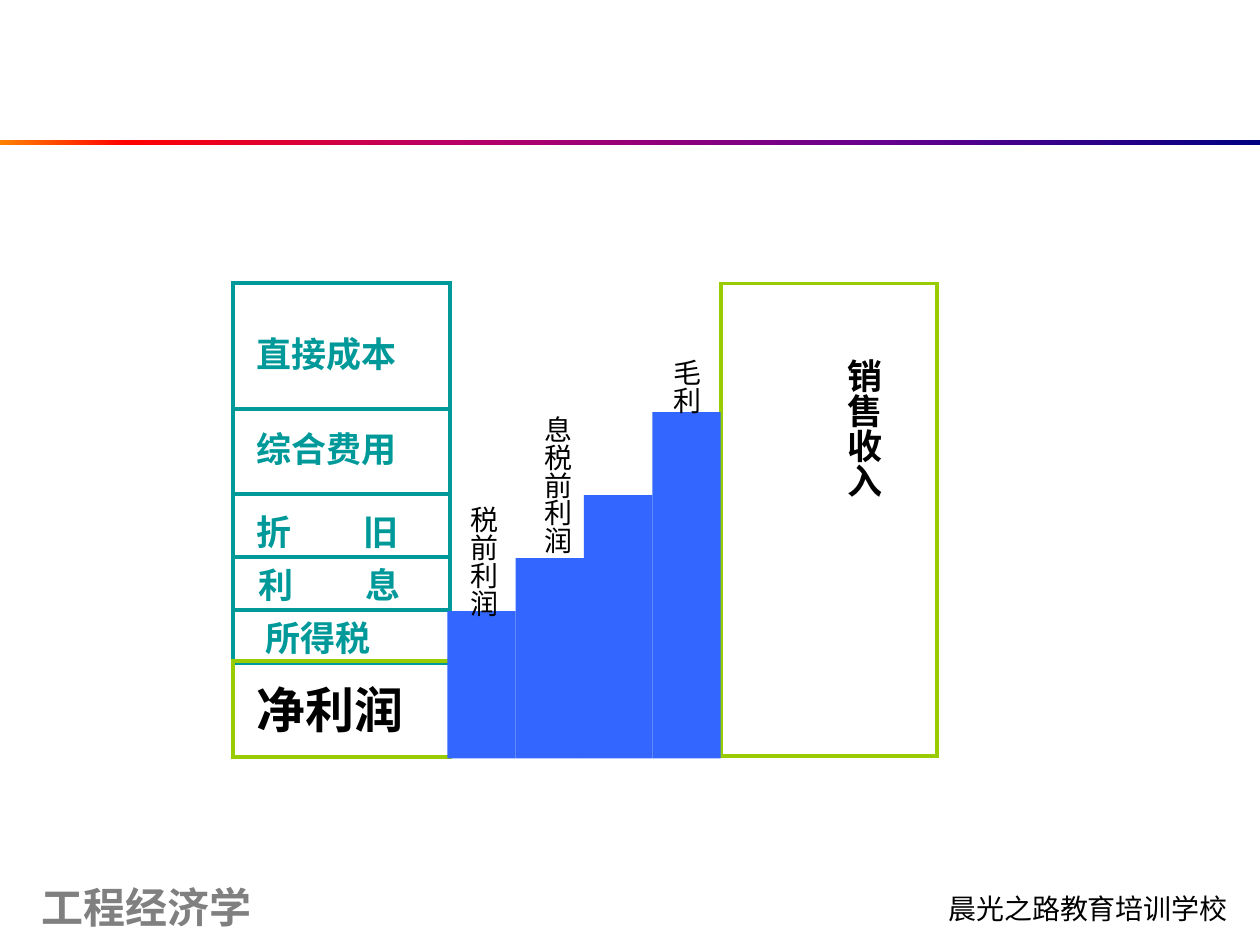
import dataclasses
import pptx
import pptx.dml.color
import pptx.enum.shapes
import pptx.enum.text
import pptx.oxml.ns
import pptx.util
import lxml.etree

Inches = pptx.util.Inches
qn = pptx.oxml.ns.qn


@dataclasses.dataclass(frozen=True)
class Theme:
    teal: str = "009999"
    green: str = "99CC00"
    blue: str = "3366FF"
    grey: str = "808080"
    black: str = "000000"
    rule: tuple = ((0, "FF8200"), (10, "FF0000"), (35, "BA0066"),
                   (70, "66008F"), (100, "000082"))
    small: int = 16
    body: int = 20
    title: int = 24
    large: int = 28
    border: float = 2.25
    narrow: str = "Arial Narrow"
    sans: str = "Arial"
    chinese: str = "Noto Sans CJK SC"


theme = Theme()
deck = pptx.Presentation()
deck.slide_width, deck.slide_height = Inches(10), Inches(7.5)
page = deck.slides.add_slide(deck.slide_layouts[6])


def add_text(text, *, at, size=theme.body, color=theme.black, bold=True,
             font=theme.narrow, wrap=True, middle=False, vertical=False, tab=None):
    box = page.shapes.add_textbox(*map(Inches, at))
    frame = box.text_frame
    frame.word_wrap = wrap
    if middle:
        frame.vertical_anchor = pptx.enum.text.MSO_ANCHOR.MIDDLE
    if vertical:
        frame._txBody.bodyPr.set("vert", "eaVert")
    para = frame.paragraphs[0]
    if tab:
        stops = lxml.etree.SubElement(para._p.get_or_add_pPr(), qn("a:tabLst"))
        lxml.etree.SubElement(stops, qn("a:tab"), pos=str(Inches(tab)), algn="l")
    span = para.add_run()
    span.text = text
    span.font.size = pptx.util.Pt(size)
    span.font.bold = bold
    span.font.name = font
    span.font.color.rgb = pptx.dml.color.RGBColor.from_string(color)
    lxml.etree.SubElement(span.font._element, qn("a:ea"), typeface=theme.chinese)


def add_block(at, fill=None, line=None):
    block = page.shapes.add_shape(
        pptx.enum.shapes.MSO_SHAPE.RECTANGLE, *map(Inches, at))
    block.shadow.inherit = False
    if fill:
        block.fill.solid()
        block.fill.fore_color.rgb = pptx.dml.color.RGBColor.from_string(fill)
    else:
        block.fill.background()
    if line:
        block.line.color.rgb = pptx.dml.color.RGBColor.from_string(line)
        block.line.width = pptx.util.Pt(theme.border)
        outline = block._element.spPr.find(qn("a:ln"))
        lxml.etree.SubElement(outline, qn("a:miter"), lim="800000")
    else:
        block.line.fill.background()
    return block


add_text("工程经济学", at=(0.23, 6.95, 2.5, 0.5), size=theme.title,
         color=theme.grey, font=theme.sans, middle=True)

rule = add_block((0, 1.11, 10, 0.04))
rule.fill.gradient()
rule.fill.gradient_angle = 0
stops = rule._element.spPr.find(".//" + qn("a:gsLst"))
stops.clear()
for percent, color in theme.rule:
    stop = lxml.etree.SubElement(stops, qn("a:gs"), pos=str(percent * 1000))
    lxml.etree.SubElement(stop, qn("a:srgbClr"), val=color)

add_text("晨光之路教育培训学校", at=(7.43, 7.02, 2.8, 0.37), size=theme.small,
         bold=False, font=theme.chinese, middle=True)

column_width = 1.72
add_block((5.72, 2.25, column_width, 3.75), line=theme.green)
add_text("销售收入", at=(6.27, 2.75, 0.8, 2.07), vertical=True)

cost_left = 1.85
costs = [
    ("直接成本", 2.25, 1, 1.94, 2.59, None),
    ("综合费用", 3.25, 0.67, 1.94, 3.34, None),
    ("折\t旧", 3.92, 0.5, 1.94, 4, 0.85),
    ("利\t息", 4.42, 0.42, 1.95, 4.42, 0.85),
    ("所得税", 4.84, 0.42, 2.01, 4.84, None),
]
for label, top, height, text_left, text_top, tab in costs:
    add_block((cost_left, top, column_width, height), line=theme.teal)
    add_text(label, at=(text_left, text_top, 1.5, 0.43), color=theme.teal,
             wrap=False, tab=tab)

add_block((cost_left, 5.25, column_width, 0.76), line=theme.green)
add_text("净利润", at=(1.94, 5.34, 1.37, 0.57), size=theme.large, wrap=False)

stairs_left, stairs_right, stairs_bottom = 3.55, 5.72, 6.02
stair_tops = [4.85, 4.43, 3.93, 3.27]
stair_width = (stairs_right - stairs_left) / len(stair_tops)
for index, top in enumerate(stair_tops):
    add_block((stairs_left + index * stair_width, top,
               stair_width, stairs_bottom - top), fill=theme.blue)

profits = [
    ("税前利润", 3.55, 3.92, 1.3),
    ("毛利", 5.16, 2.75, 0.8),
    ("息税前利润", 4.14, 3.2, 1.56),
]
for label, left, top, height in profits:
    add_text(label, at=(left, top, 0.47, height), size=theme.small,
             bold=False, vertical=True)

deck.save("out.pptx")
